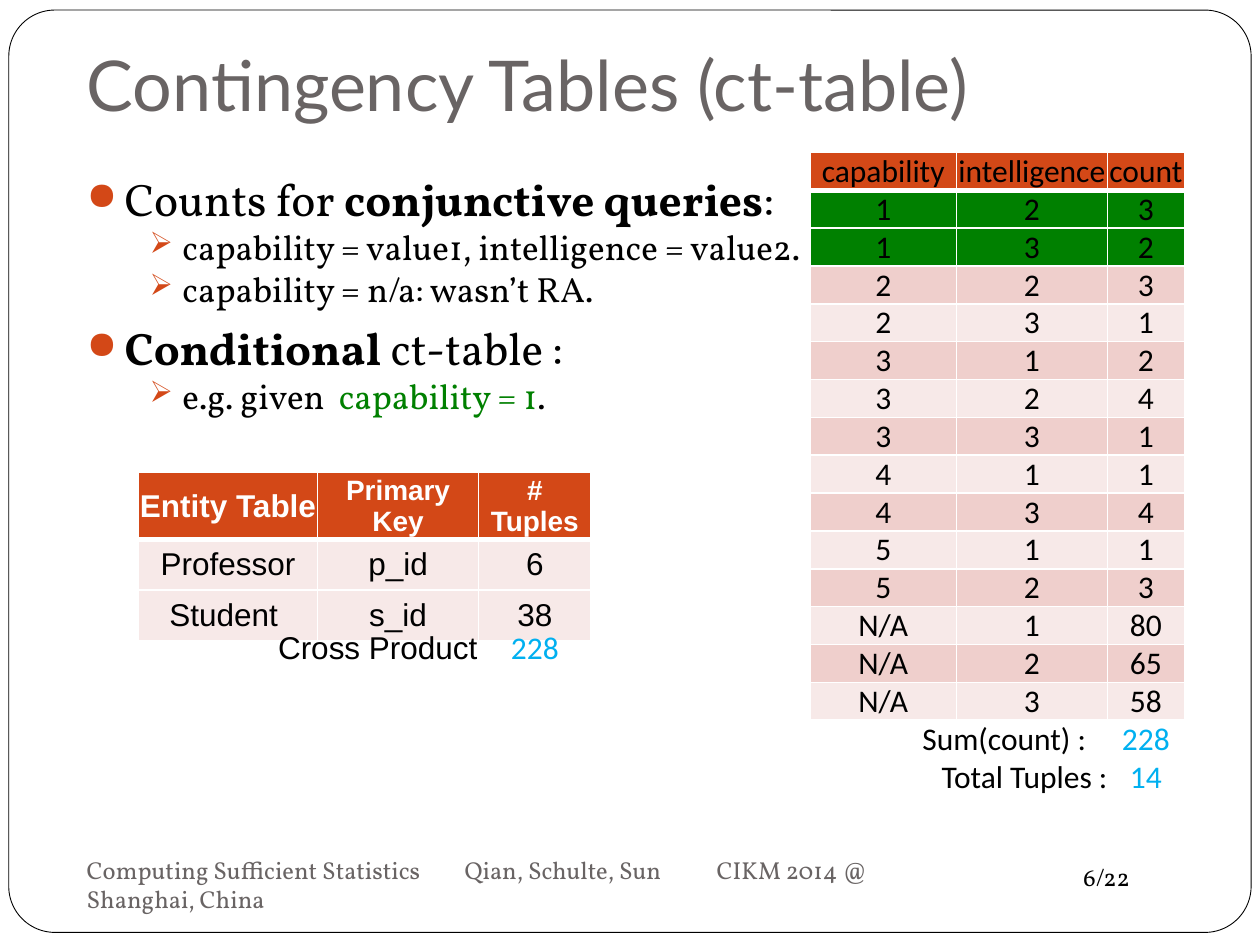
from dataclasses import dataclass

from lxml import etree
from pptx import Presentation
from pptx.dml.color import RGBColor
from pptx.enum import shapes, text
from pptx.oxml import ns
from pptx.util import Inches, Pt

LEFT, CENTER, RIGHT = text.PP_ALIGN.LEFT, text.PP_ALIGN.CENTER, text.PP_ALIGN.RIGHT
TOP, MIDDLE, BOTTOM = (text.MSO_ANCHOR.TOP, text.MSO_ANCHOR.MIDDLE,
                       text.MSO_ANCHOR.BOTTOM)
NO_TABLE_STYLE = "{2D5ABB26-0587-4C30-8999-92F81FD0307C}"


@dataclass(frozen=True)
class Theme:
    black: str = "000000"
    white: str = "FFFFFF"
    gray: str = "696464"
    accent: str = "D34817"
    green: str = "008000"
    blue: str = "00B0F0"
    band_dark: str = "EFCFCC"
    band_light: str = "F7E9E8"
    title_font: str = "Lato"
    body_font: str = "Vollkorn"
    count_font: str = "Calibri"
    entity_font: str = "Arial"
    title: int = 40
    body: int = 26
    sub: int = 20
    cell: int = 18
    cell_small: int = 16
    small: int = 14


def box(*lengths):
    return [Inches(n) for n in lengths]


def add(parent, tag, **attrs):
    el = etree.SubElement(parent, ns.qn(tag))
    for name, value in attrs.items():
        el.set(name, str(value))
    return el


class Deck:
    def __init__(self, prs, theme):
        self.theme = theme
        self.s = prs.slides.add_slide(prs.slide_layouts[5])

    def run(self, p, words, size, font, color, bold=False):
        r = p.add_run()
        r.text = words
        r.font.size, r.font.name, r.font.bold = Pt(size), font, bold
        r.font.color.rgb = RGBColor.from_string(color)

    def frame(self):
        sp = self.s.shapes.add_shape(shapes.MSO_SHAPE.ROUNDED_RECTANGLE,
                                     *box(0.07, 0.08, 9.86, 7.32))
        sp.adjustments[0] = 0.05
        sp.shadow.inherit = False
        sp.fill.solid()
        sp.fill.fore_color.rgb = RGBColor.from_string(self.theme.white)
        sp.line.color.rgb = RGBColor.from_string(self.theme.black)
        sp.line.width = Pt(0.5)
        # The frame sits behind the title
        tree = self.s.shapes.title.element.getparent()
        tree.insert(2, sp.element)

    def title(self, words, at):
        sp = self.s.shapes.title
        sp.left, sp.top, sp.width, sp.height = box(*at)
        tf = sp.text_frame
        tf.word_wrap, tf.vertical_anchor = True, BOTTOM
        tf.auto_size = text.MSO_AUTO_SIZE.NONE
        tf.margin_bottom = Inches(0.1)
        p = tf.paragraphs[0]
        p.alignment = LEFT
        t = self.theme
        self.run(p, words, t.title, t.title_font, t.gray)

    def textbox(self, at, anchor=TOP):
        tf = self.s.shapes.add_textbox(*box(*at)).text_frame
        tf.word_wrap, tf.vertical_anchor = True, anchor
        return tf

    def label(self, words, at, color, anchor=TOP):
        p = self.textbox(at, anchor).paragraphs[0]
        self.run(p, words, self.theme.small, self.theme.body_font, color)

    def bullets(self, items, at):
        """Each item is (level, runs); each run is (words, bold, color)."""
        t, tf = self.theme, self.textbox(at)
        styles = [(t.body, 0.3, 0.3, 5.8, "●"), (t.sub, 0.76, 0.26, 0, "➢")]
        for i, (level, runs) in enumerate(items):
            size, margin, hang, before, char = styles[level]
            p = tf.add_paragraph() if i else tf.paragraphs[0]
            p.level, p.space_before = level, Pt(before)
            pPr = p._p.get_or_add_pPr()
            pPr.set("marL", str(Inches(margin)))
            pPr.set("indent", str(-Inches(hang)))
            add(add(pPr, "a:buClr"), "a:srgbClr", val=t.accent)
            add(pPr, "a:buSzPct", val=85000)
            add(pPr, "a:buChar", char=char)
            for words, bold, color in runs:
                self.run(p, words, size, t.body_font, color, bold)

    def table(self, at, cols, row_height, n_rows):
        grid = self.s.shapes.add_table(n_rows, len(cols), *box(
            *at, sum(cols), row_height * n_rows)).table
        grid.first_row = grid.horz_banding = False
        grid._tbl.tblPr.find(ns.qn("a:tableStyleId")).text = NO_TABLE_STYLE
        for col, width in zip(grid.columns, cols):
            col.width = Inches(width)
        for row in grid.rows:
            row.height = Inches(row_height)
        return grid

    def cell(self, c, words, font, color, fill=None, size=None, bold=False,
             align=CENTER, bottom=1, inset=0.01):
        c.vertical_anchor = MIDDLE
        c.margin_left, c.margin_right = Inches(0.01), Inches(inset)
        c.margin_top = c.margin_bottom = 0
        p = c.text_frame.paragraphs[0]
        p.alignment = align
        self.run(p, words, size or self.theme.cell, font, color, bold)
        if not fill:
            c.fill.background()
            return
        c.fill.solid()
        c.fill.fore_color.rgb = RGBColor.from_string(fill)
        # Cell borders come before the fill
        tcPr = c._tc.get_or_add_tcPr()
        widths = {"a:lnL": 1, "a:lnR": 1, "a:lnT": 1, "a:lnB": bottom}
        for i, (tag, width) in enumerate(widths.items()):
            ln = add(tcPr, tag, w=Pt(width))
            add(add(ln, "a:solidFill"), "a:srgbClr", val=self.theme.white)
            tcPr.insert(i, ln)


prs = Presentation()
prs.slide_width, prs.slide_height = Inches(10), Inches(7.5)
t = Theme()
deck = Deck(prs, t)

# Frame, title and footer
deck.frame()
deck.title("Contingency Tables (ct-table)", (0.59, 0.38, 8.22, 0.72))
deck.label("6/22", (8.5, 6.79, 1, 0.34), t.black)
deck.label("Computing Sufficient Statistics\tQian, Schulte, Sun\t"
           "CIKM 2014 @ Shanghai, China", (0.59, 6.77, 6.73, 0.5), t.gray, MIDDLE)

# Contingency table
counts = [(1, 2, 3), (1, 3, 2), (2, 2, 3), (2, 3, 1), (3, 1, 2), (3, 2, 4),
          (3, 3, 1), (4, 1, 1), (4, 3, 4), (5, 1, 1), (5, 2, 3),
          ("N/A", 1, 80), ("N/A", 2, 65), ("N/A", 3, 58)]
totals = [("Sum(count) :", "228", 0.17), ("Total Tuples :", "14", 0)]
ct = deck.table((6.43, 1.21), (1.16, 1.2, 0.61), 0.3, 1 + len(counts) + len(totals))
for j, head in enumerate(("capability", "intelligence", "count")):
    deck.cell(ct.cell(0, j), head, t.count_font, t.black, t.accent, bottom=3)
for i, row in enumerate(counts, 1):
    band = t.band_dark if i % 2 else t.band_light
    fill = t.green if row[0] == 1 else band
    for j, value in enumerate(row):
        deck.cell(ct.cell(i, j), str(value), t.count_font, t.black, fill)
for i, (name, total, inset) in enumerate(totals, 1 + len(counts)):
    ct.cell(i, 0).merge(ct.cell(i, 1))
    deck.cell(ct.cell(i, 0), name, t.count_font, t.black, align=RIGHT, inset=inset)
    deck.cell(ct.cell(i, 2), total, t.count_font, t.blue)

# Bullets
deck.bullets([
    (0, [("Counts for ", False, t.black), ("conjunctive queries", True, t.black),
         (":", False, t.black)]),
    (1, [("capability = value1, intelligence = value2.", False, t.black)]),
    (1, [("capability = n/a: wasn’t RA.", False, t.black)]),
    (0, [("Conditional ", True, t.black), ("ct-table :", False, t.black)]),
    (1, [("e.g. given  ", False, t.black), ("capability = 1", False, t.green),
         (".", False, t.black)]),
], (0.59, 1.31, 6.04, 2.07))

# Entity table
entities = deck.table((1.1, 3.75), (1.42, 1.28, 0.89), 0.4, 3)
heads = [("Entity Table", t.cell), ("Primary Key", t.cell_small),
         ("# Tuples", t.cell_small)]
for j, (head, size) in enumerate(heads):
    deck.cell(entities.cell(0, j), head, t.entity_font, t.white, t.accent, size,
              bold=True, bottom=3)
for i, row in enumerate([("Professor", "p_id", "6"), ("Student ", "s_id", "38")], 1):
    for j, value in enumerate(row):
        deck.cell(entities.cell(i, j), value, t.entity_font, t.black, t.band_light)

# Cross product
product = deck.table((1.1, 4.95), (2.7, 0.89), 0.4, 1)
deck.cell(product.cell(0, 0), "Cross Product", t.entity_font, t.black, align=RIGHT)
deck.cell(product.cell(0, 1), "228", t.count_font, t.blue)

prs.save("out.pptx")
